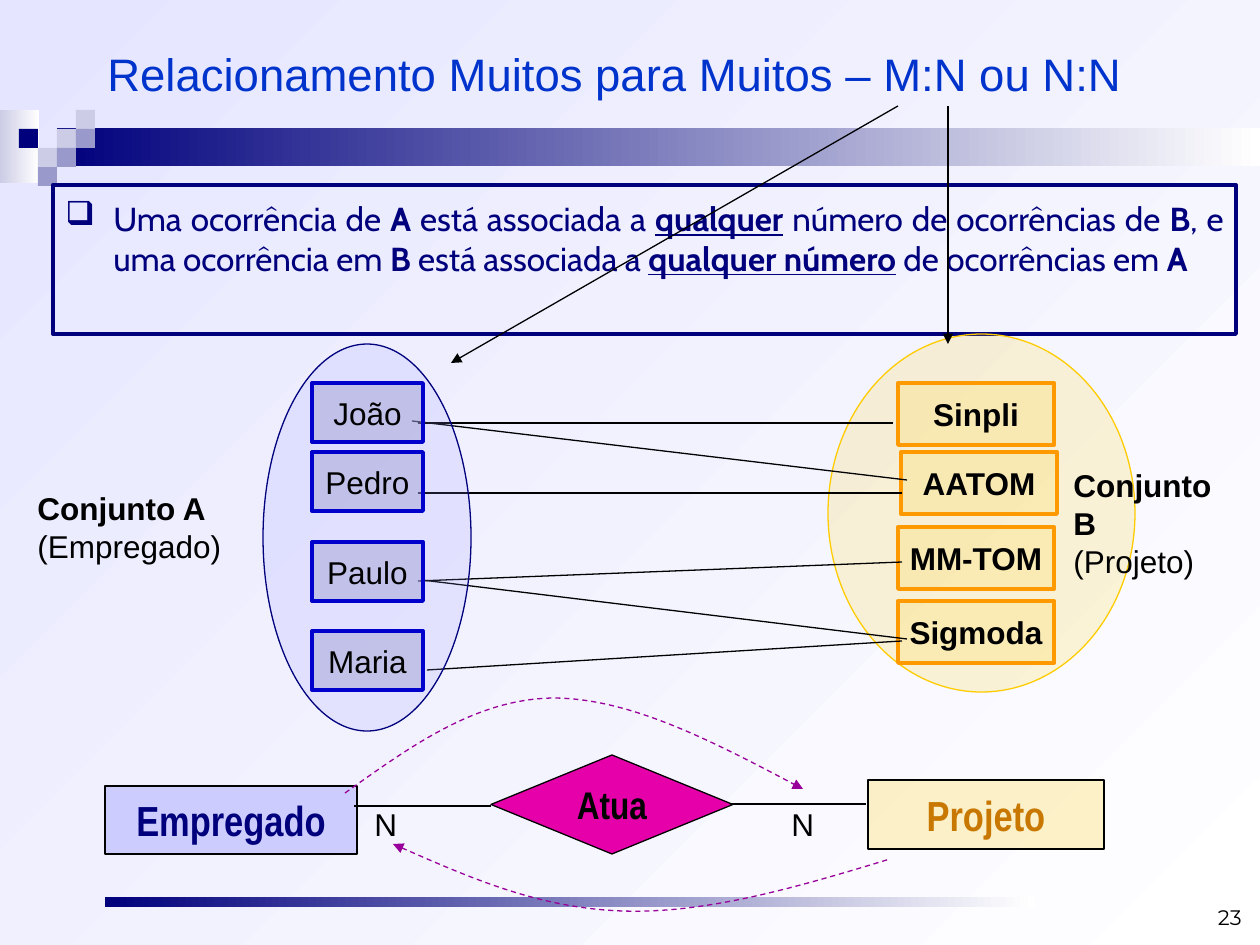
import dataclasses

import pptx
import pptx.dml.color
import pptx.enum.dml
import pptx.enum.shapes
import pptx.enum.text
import pptx.oxml
import pptx.oxml.ns
import pptx.util

SHAPE = pptx.enum.shapes.MSO_SHAPE
ALIGN = pptx.enum.text.PP_ALIGN
ANCHOR = pptx.enum.text.MSO_ANCHOR
EMU_PER_PX = 914400 / 126


@dataclasses.dataclass(frozen=True)
class Theme:
    white: str = "FFFFFF"
    black: str = "000000"
    haze: str = "E5E5FF"
    pale: str = "CCCCE6"
    mid: str = "9999CC"
    navy: str = "00007D"
    title: str = "0033CC"
    employee_line: str = "0000CC"
    employee_set: str = "9999FF"
    employee_entity: str = "CCCCFF"
    project: str = "FFCC00"
    project_line: str = "FF9900"
    project_text: str = "C87700"
    relationship: str = "E600AA"
    curve: str = "990099"
    title_size: int = 26
    statement_size: int = 19
    body_size: int = 18
    entity_size: int = 24
    relationship_size: int = 22
    page_size: int = 12
    thin: float = 0.75
    thick: float = 2.25
    font: str = "Arial"
    narrow: str = "Arial Narrow"


THEME = Theme()


def px(length):
    return pptx.util.Emu(round(length * EMU_PER_PX))


def rgb(colour):
    return pptx.dml.color.RGBColor.from_string(colour)


def add_xml(parent, markup):
    """Append one element of the drawing namespace, given as 'name attributes'."""
    element = pptx.oxml.parse_xml(f"<a:{markup} {pptx.oxml.ns.nsdecls('a')}/>")
    parent.append(element)
    return element


def fill_gradient(fill, start, end, angle):
    fill.gradient()
    fill.gradient_angle = angle
    for stop, colour in zip(fill.gradient_stops, (start, end)):
        stop.color.rgb = rgb(colour)


def write(shape, paragraphs, size=THEME.body_size, font=THEME.font, colour=THEME.black,
          bold=False, align=ALIGN.LEFT, anchor=ANCHOR.TOP, wrap=False, top=6, bullet=None):
    """Fill a shape with paragraphs; each is a list of (text, style), style being "", "b" or "bu"."""
    frame = shape.text_frame
    frame.word_wrap = wrap
    frame.vertical_anchor = anchor
    frame.margin_top = px(top)
    for index, runs in enumerate(paragraphs):
        paragraph = frame.add_paragraph() if index else frame.paragraphs[0]
        paragraph.alignment = align
        if bullet:
            properties = paragraph._p.get_or_add_pPr()
            properties.set("marL", str(px(48)))
            properties.set("indent", str(px(-48)))
            add_xml(add_xml(properties, "buClr"), f'srgbClr val="{colour}"')
            add_xml(properties, f'buChar char="{bullet}"')
        for text, style in runs:
            run = paragraph.add_run()
            run.text = text
            run.font.name, run.font.size = font, pptx.util.Pt(size)
            run.font.color.rgb = rgb(colour)
            run.font.bold = bold or "b" in style
            run.font.underline = "u" in style


def add_label(slide, box, paragraphs, **style):
    label = slide.shapes.add_textbox(*map(px, box))
    if not style.get("wrap"):
        label.text_frame.auto_size = pptx.enum.text.MSO_AUTO_SIZE.SHAPE_TO_FIT_TEXT
    write(label, paragraphs, **style)


def add_block(slide, box, kind=SHAPE.RECTANGLE, fill=None, opacity=100, line=None, width=THEME.thin):
    block = slide.shapes.add_shape(kind, *map(px, box))
    block.shadow.inherit = False
    if isinstance(fill, tuple):
        fill_gradient(block.fill, *fill, 180)
    elif fill:
        block.fill.solid()
        block.fill.fore_color.rgb = rgb(fill)
        if opacity < 100:
            solid = block._element.spPr.find(pptx.oxml.ns.qn("a:solidFill"))
            add_xml(solid[0], f'alpha val="{opacity * 1000}"')
    else:
        block.fill.background()
    if line:
        block.line.color.rgb = rgb(line)
        block.line.width = pptx.util.Pt(width)
    else:
        block.line.fill.background()
    return block


def add_named_block(slide, box, name, size=THEME.body_size, font=THEME.font,
                    colour=THEME.black, bold=True, **look):
    write(add_block(slide, box, **look), [[(name, "")]], size=size, font=font, colour=colour,
          bold=bold, align=ALIGN.CENTER, anchor=ANCHOR.MIDDLE)


def add_line(slide, start, end, arrow=False):
    line = slide.shapes.add_connector(pptx.enum.shapes.MSO_CONNECTOR.STRAIGHT,
                                      *map(px, (*start, *end)))
    line.line.color.rgb = rgb(THEME.black)
    line.line.width = pptx.util.Pt(THEME.thin)
    if arrow:
        add_xml(line.line._get_or_add_ln(), 'tailEnd type="triangle"')
    add_xml(line._element.spPr, "effectLst")


def add_curve(slide, points, arrow_end):
    """Draw a dashed Bezier curve: a start, then two control points and an end per segment."""
    builder = slide.shapes.build_freeform(*points[0], scale=EMU_PER_PX)
    builder.add_line_segments(points[1:], close=False)
    curve = builder.convert_to_shape()
    steps = list(curve._element.iter(pptx.oxml.ns.qn("a:lnTo")))
    outline = steps[0].getparent()
    for first in range(0, len(steps), 3):
        segment = add_xml(outline, "cubicBezTo")
        for step in steps[first:first + 3]:
            segment.append(step[0])
            outline.remove(step)
    curve.shadow.inherit = False
    curve.fill.background()
    curve.line.color.rgb = rgb(THEME.curve)
    curve.line.width = pptx.util.Pt(THEME.thin)
    curve.line.dash_style = pptx.enum.dml.MSO_LINE.DASH
    add_xml(curve.line._get_or_add_ln(), f'{arrow_end} type="triangle"')


def add_decoration(slide):
    fill_gradient(slide.background.fill, THEME.white, THEME.haze, 135)
    add_block(slide, (0, 110, 39, 73), fill=(THEME.white, THEME.pale))
    add_block(slide, (57, 128, 1203, 38), fill=(THEME.white, THEME.navy))
    squares = {THEME.pale: [(3, 1), (4, 0), (2, 2)],
               THEME.mid: [(4, 1), (3, 2), (2, 3)],
               THEME.navy: [(1, 1)]}
    for colour, cells in squares.items():
        for column, row in cells:
            add_block(slide, (19 * column, 110 + 19 * row, 19, 19), fill=colour)
    add_block(slide, (105, 897, 930, 10), fill=(THEME.white, THEME.navy))


def add_heading(slide):
    add_label(slide, (95, 16, 1134, 115), [[("Relacionamento Muitos para Muitos – M:N ou N:N", "")]],
              size=THEME.title_size, colour=THEME.title, anchor=ANCHOR.MIDDLE, wrap=True)
    statement = [("Uma ocorrência de ", ""), ("A", "b"), (" está associada a ", ""),
                 ("qualquer", "bu"), (" número de ocorrências de ", ""), ("B", "b"),
                 (", e uma ocorrência em ", ""), ("B", "b"), (" está associada a ", ""),
                 ("qualquer número", "bu"), (" de ocorrências em ", ""), ("A", "b")]
    frame = add_block(slide, (53, 185, 1183, 149), line=THEME.navy, width=THEME.thick)
    write(frame, [statement], size=THEME.statement_size, font="Cabin", colour=THEME.navy,
          align=ALIGN.JUSTIFY, wrap=True, top=13, bullet="❑")


def add_projects(slide):
    add_block(slide, (828, 334, 307, 358), SHAPE.OVAL, THEME.project, 16, THEME.project)
    for name, left, top in (("Sinpli", 898, 383), ("AATOM", 901, 452),
                            ("MM-TOM", 898, 527), ("Sigmoda", 898, 601)):
        add_named_block(slide, (left, top, 156, 62), name, fill=THEME.project, opacity=16,
                        line=THEME.project_line, width=THEME.thick)
    add_label(slide, (1061, 460, 194, 88), [[("Conjunto B", "b")], [("(Projeto)", "")]])


def add_employees(slide):
    add_block(slide, (263, 344, 208, 387), SHAPE.OVAL, THEME.employee_set, 17, THEME.navy)
    for name, top in (("João", 383), ("Pedro", 452), ("Paulo", 542), ("Maria", 631)):
        add_named_block(slide, (312, top, 111, 59), name, bold=False, fill=THEME.mid, opacity=43,
                        line=THEME.employee_line, width=THEME.thick)
    add_label(slide, (25, 483, 209, 88), [[("Conjunto A", "b")], [("(Empregado)", "")]])


def add_entity_diagram(slide):
    entity = dict(size=THEME.entity_size, font=THEME.narrow, line=THEME.black)
    add_named_block(slide, (105, 786, 252, 68), "Empregado", colour=THEME.navy,
                    fill=THEME.employee_entity, **entity)
    add_named_block(slide, (868, 780, 236, 69), "Projeto", colour=THEME.project_text,
                    fill=THEME.project, opacity=22, **entity)
    add_named_block(slide, (491, 755, 242, 99), "Atua", size=THEME.relationship_size,
                    font=THEME.narrow, kind=SHAPE.FLOWCHART_DECISION,
                    fill=THEME.relationship, line=THEME.black)
    add_line(slide, (866, 804), (730, 804))
    add_line(slide, (354, 806), (491, 806))
    for left in (362, 779):
        add_label(slide, (left, 799, 48, 50), [[("N", "")]])
    add_curve(slide, [(345, 793), (411, 746), (476, 699), (553, 698),
                      (629, 698), (716, 743), (803, 789)], "tailEnd")
    add_curve(slide, [(393, 844), (466, 876), (539, 908), (622, 911),
                      (706, 914), (798, 887), (890, 859)], "headEnd")


def main():
    deck = pptx.Presentation()
    deck.slide_width, deck.slide_height = px(1260), px(945)
    slide = deck.slides.add_slide(deck.slide_layouts[6])
    add_decoration(slide)
    add_heading(slide)
    add_projects(slide)
    for start, end in (((418, 423), (893, 423)), ((412, 421), (907, 480)),
                       ((418, 493), (902, 493)), ((418, 581), (902, 562)),
                       ((422, 580), (907, 639)), ((427, 670), (902, 641))):
        add_line(slide, start, end)
    add_entity_diagram(slide)
    add_line(slide, (898, 106), (451, 363), arrow=True)
    add_line(slide, (948, 106), (948, 344), arrow=True)
    add_employees(slide)
    add_label(slide, (960, 873, 294, 63), [[("23", "")]], size=THEME.page_size,
              font="Montserrat", align=ALIGN.RIGHT, anchor=ANCHOR.BOTTOM, wrap=True)
    deck.save("out.pptx")


if __name__ == "__main__":
    main()
